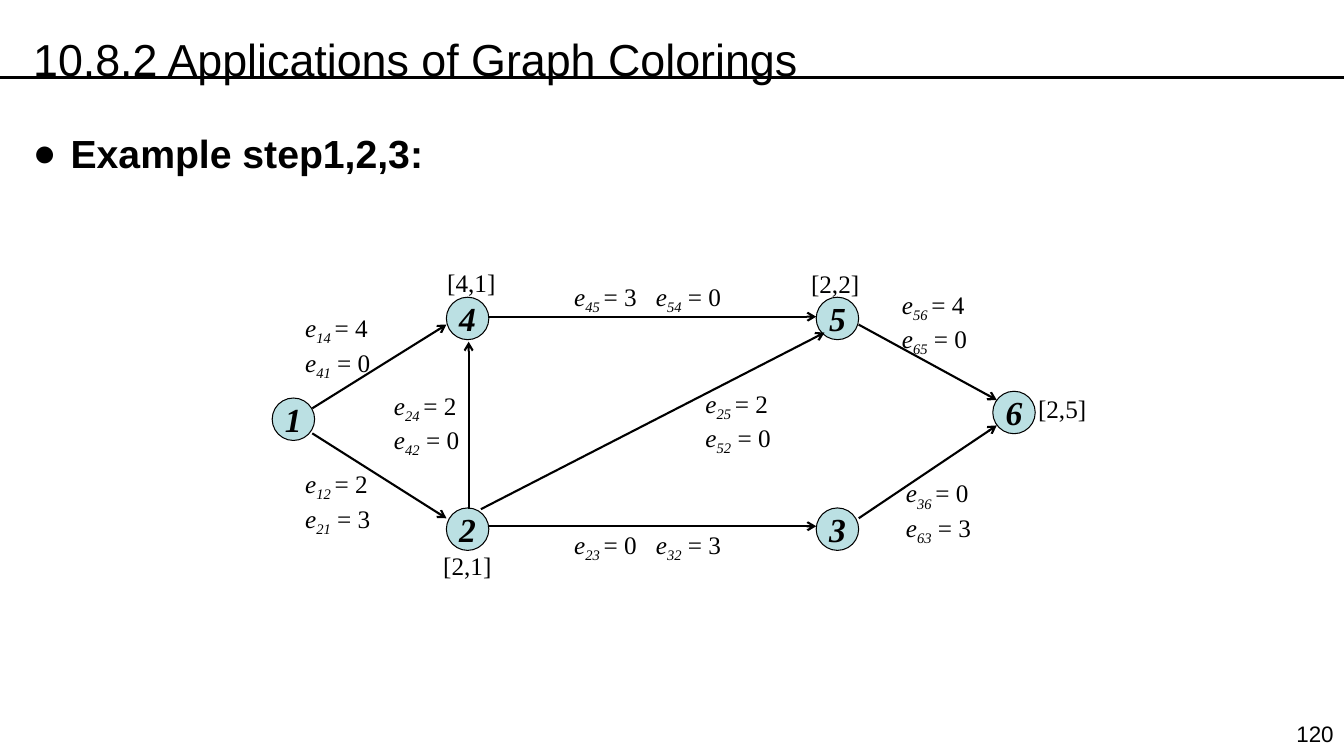
import pptx
import pptx.dml.color
import pptx.enum.shapes
import pptx.enum.text
import pptx.oxml.ns
import pptx.util
from lxml import etree
from pptx.util import Cm

BLACK = "000000"
NODE_FILL = "BBE0E3"
SERIF = "Times New Roman"
NODE_SIZE = 1.07

# Left and top of each vertex, in cm
NODES = {
    "1": (6.86, 10.03), "2": (11.25, 12.8), "3": (20.57, 12.8),
    "4": (11.25, 7.49), "5": (20.57, 7.49), "6": (25.02, 9.86),
}
# Start x, y and end x, y of each arrow
ARROWS = [
    (12.32, 7.98, 20.57, 7.98), (12.32, 13.26, 20.57, 13.26),
    (7.87, 10.29, 11.25, 8.18), (7.87, 10.92, 11.25, 13.06),
    (21.64, 8.18, 25.12, 10.08), (21.64, 13.06, 25.12, 10.72),
    (12.12, 12.83, 20.78, 8.38), (11.81, 12.83, 11.81, 8.61),
]
# Edge, its two values, left, top
STACKED_LABELS = [
    ("56", 4, 0, 22.48, 7.16), ("36", 0, 3, 22.58, 11.91),
    ("14", 4, 0, 7.44, 7.75), ("12", 2, 3, 7.44, 11.68),
    ("24", 2, 0, 9.68, 9.7), ("25", 2, 0, 17.53, 9.65),
]
INLINE_LABELS = [("45", 3, 0, 14.22, 6.96), ("23", 0, 3, 14.22, 13.21)]
# Text, left, top
VERTEX_LABELS = [
    ("[4,1]", 11.02, 6.6), ("[2,1]", 10.92, 13.74),
    ("[2,2]", 20.19, 6.63), ("[2,5]", 25.91, 9.78),
]


def color(value):
    return pptx.dml.color.RGBColor.from_string(value)


def add_element(parent, tag, **attributes):
    element = etree.SubElement(parent, pptx.oxml.ns.qn(tag))
    for name, value in attributes.items():
        element.set(name, value)
    return element


def add_run(paragraph, text, size=18, name=SERIF, bold=False, italic=False, subscript=False):
    run = paragraph.add_run()
    run.text = text
    font = run.font
    font.size = pptx.util.Pt(size)
    font.name = name
    font.bold = bold
    font.italic = italic
    font.color.rgb = color(BLACK)
    if subscript:
        font._element.set("baseline", "-25000")


def add_text_frame(slide, left, top, width, height, wrap=False):
    shape = slide.shapes.add_textbox(Cm(left), Cm(top), Cm(width), Cm(height))
    shape.text_frame.word_wrap = wrap
    return shape.text_frame


def add_line(slide, start_x, start_y, end_x, end_y, width=1.5, arrow=True):
    connector = slide.shapes.add_connector(
        pptx.enum.shapes.MSO_CONNECTOR.STRAIGHT,
        Cm(start_x), Cm(start_y), Cm(end_x), Cm(end_y))
    connector.line.color.rgb = color(BLACK)
    connector.line.width = pptx.util.Pt(width)
    if arrow:
        add_element(connector.line._get_or_add_ln(), "a:tailEnd", type="arrow")
    add_element(connector._element.spPr, "a:effectLst")


def add_node(slide, number, left, top):
    shape = slide.shapes.add_shape(
        pptx.enum.shapes.MSO_SHAPE.OVAL,
        Cm(left), Cm(top), Cm(NODE_SIZE), Cm(NODE_SIZE))
    shape.shadow.inherit = False
    shape.fill.solid()
    shape.fill.fore_color.rgb = color(NODE_FILL)
    shape.line.color.rgb = color(BLACK)
    shape.line.width = pptx.util.Pt(0.75)
    frame = shape.text_frame
    frame.word_wrap = False
    frame.margin_left = frame.margin_right = frame.margin_top = frame.margin_bottom = 0
    frame.vertical_anchor = pptx.enum.text.MSO_ANCHOR.MIDDLE
    paragraph = frame.paragraphs[0]
    paragraph.alignment = pptx.enum.text.PP_ALIGN.CENTER
    add_run(paragraph, number, size=24, bold=True, italic=True)


def add_flow(paragraph, edge, ending):
    add_run(paragraph, "e", italic=True)
    add_run(paragraph, edge, italic=True, subscript=True)
    add_run(paragraph, ending)


def add_edge_label(slide, edge, forward, backward, left, top, inline=False):
    width, height = (4.45, 1.02) if inline else (2.21, 1.78)
    frame = add_text_frame(slide, left, top, width, height, wrap=inline)
    paragraph = frame.paragraphs[0]
    if inline:
        tabs = add_element(paragraph._p.get_or_add_pPr(), "a:tabLst")
        add_element(tabs, "a:tab", pos=str(Cm(2.06)), algn="l")
    add_flow(paragraph, edge + " ", f"= {forward}" + ("\t" if inline else ""))
    if not inline:
        paragraph = frame.add_paragraph()
    add_flow(paragraph, edge[::-1], f" = {backward}")


def add_title(slide, text):
    title = slide.shapes.title
    title.left, title.top, title.width, title.height = Cm(0.58), Cm(0), Cm(30.71), Cm(2.06)
    frame = title.text_frame
    frame.word_wrap = True
    frame.auto_size = pptx.enum.text.MSO_AUTO_SIZE.NONE
    frame.vertical_anchor = pptx.enum.text.MSO_ANCHOR.TOP
    paragraph = frame.paragraphs[0]
    paragraph.alignment = pptx.enum.text.PP_ALIGN.LEFT
    paragraph.line_spacing = 1.5
    add_run(paragraph, text, size=32, name="Arial")


def add_bullet(slide, text):
    frame = add_text_frame(slide, 0.58, 2.54, 31.98, 17.53, wrap=True)
    paragraph = frame.paragraphs[0]
    paragraph.line_spacing = 1.5
    properties = paragraph._p.get_or_add_pPr()
    properties.set("marL", str(Cm(0.95)))
    properties.set("indent", str(Cm(-0.95)))
    add_element(properties, "a:buFont", typeface="Arial")
    add_element(properties, "a:buChar", char="●")
    add_run(paragraph, text, size=28, name="Arial", bold=True)


def main():
    presentation = pptx.Presentation()
    presentation.slide_width = Cm(33.87)
    presentation.slide_height = Cm(19.05)
    slide = presentation.slides.add_slide(presentation.slide_layouts[5])

    # Heading, rule and page number
    add_line(slide, 0, 1.96, 33.87, 1.96, width=2.25, arrow=False)
    add_title(slide, "10.8.2 Applications of Graph Colorings")
    add_bullet(slide, "Example step1,2,3:")
    page_number = add_text_frame(slide, 32.26, 18.03, 1.6, 0.94).paragraphs[0]
    page_number.alignment = pptx.enum.text.PP_ALIGN.RIGHT
    add_run(page_number, "120", size=16, name="Arial")

    # Graph
    for number, (left, top) in NODES.items():
        add_node(slide, number, left, top)
    for arrow in ARROWS:
        add_line(slide, *arrow)

    # Labels
    for label in STACKED_LABELS:
        add_edge_label(slide, *label)
    for label in INLINE_LABELS:
        add_edge_label(slide, *label, inline=True)
    for text, left, top in VERTEX_LABELS:
        add_run(add_text_frame(slide, left, top, 1.73, 1.02).paragraphs[0], text)

    presentation.save("out.pptx")


if __name__ == "__main__":
    main()
